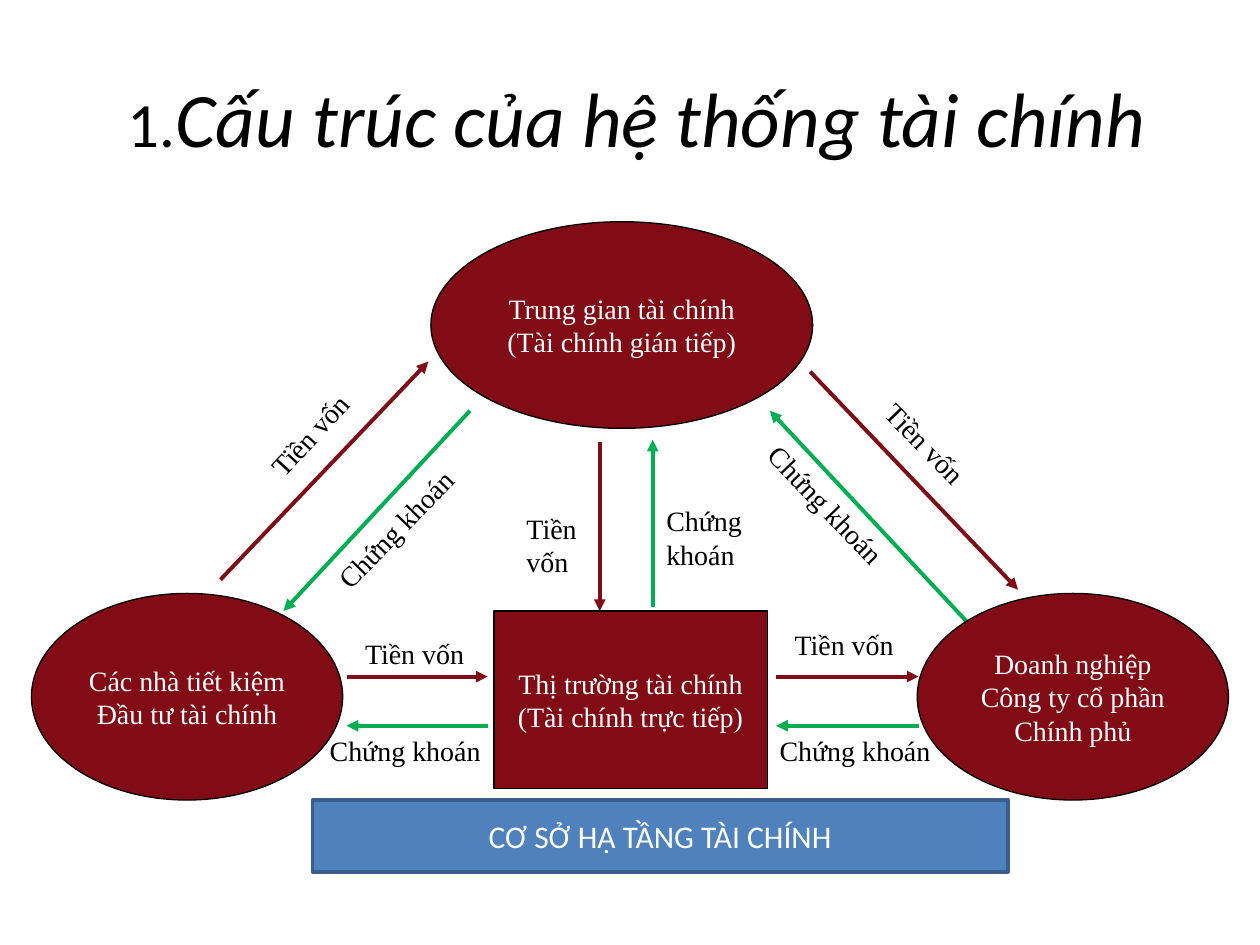
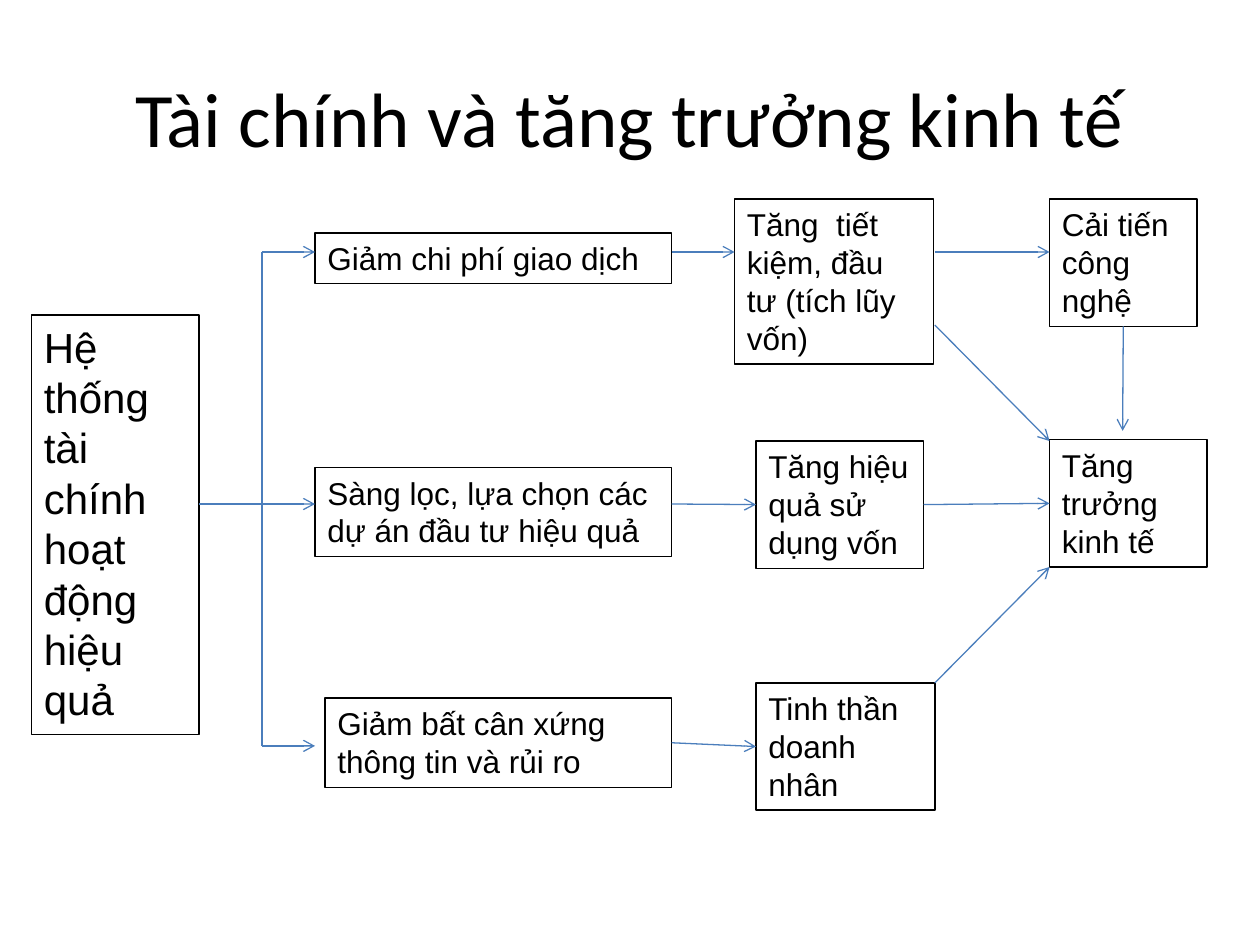
from typing import NamedTuple, Optional

from lxml import etree
from pptx import Presentation
from pptx import util as u
from pptx.dml import color
from pptx.enum import shapes, text
from pptx.oxml import ns

BLACK, WHITE = "000000", "FFFFFF"
MAROON, GREEN = "810C15", "00B050"
BLUE, BLUE_EDGE, BLUE_LINE = "4F81BD", "3A5F8C", "4B7EBC"
TITLE_FONT, FLOW_FONT, BOX_FONT = "Calibri", "Times New Roman", "Arial"
CENTER, LEFT = text.PP_ALIGN.CENTER, text.PP_ALIGN.LEFT
OVAL, RECTANGLE = shapes.MSO_SHAPE.OVAL, shapes.MSO_SHAPE.RECTANGLE
TOP_SIDE, LEFT_SIDE, BOTTOM_SIDE, RIGHT_SIDE = range(4)
CAPITAL, SECURITIES = "Tiền vốn", "Chứng khoán"


class Area(NamedTuple):
    left: float
    top: float
    width: float
    height: float


class Node(NamedTuple):
    area: Area
    words: str
    kind: shapes.MSO_SHAPE = OVAL
    fill: str = MAROON
    edge: str = BLACK
    edge_width: float = 0.75
    font: str = FLOW_FONT
    size: float = 16
    side_inset: float = 0


class Label(NamedTuple):
    area: Area
    words: str
    rotation: float = 0
    align: text.PP_ALIGN = LEFT


class Step(NamedTuple):
    name: str
    area: Area
    words: str
    size: float = 18


class Line(NamedTuple):
    start: tuple[float, float]
    end: tuple[float, float]
    color: str = BLUE_LINE
    width: float = 0.75
    head: Optional[str] = "arrow"


class Link(NamedTuple):
    """A line, with the (step name, side) that each end is joined to."""
    line: Line
    begin: Optional[tuple[str, int]] = None
    finish: Optional[tuple[str, int]] = None


def rgb(value: str) -> color.RGBColor:
    return color.RGBColor.from_string(value)


def place(area: Area) -> list[u.Length]:
    return [u.Inches(value) for value in area]


def style_text(frame, font: str, size: float, ink: str, align=CENTER) -> None:
    for para in frame.paragraphs:
        para.alignment = align
        for span in para.runs:
            span.font.name = font
            span.font.size = u.Pt(size)
            span.font.color.rgb = rgb(ink)


def add_title(page, words: str):
    box = page.shapes.add_textbox(*place(Area(0.5, 0.3, 9, 1.25)))
    frame = box.text_frame
    frame.word_wrap = True
    frame.vertical_anchor = text.MSO_ANCHOR.MIDDLE
    frame.text = words
    style_text(frame, TITLE_FONT, 44, BLACK)
    return frame.paragraphs[0]


def add_line(page, line: Line):
    connector = page.shapes.add_connector(
        shapes.MSO_CONNECTOR.STRAIGHT,
        *[u.Inches(value) for value in (*line.start, *line.end)])
    connector.line.color.rgb = rgb(line.color)
    connector.line.width = u.Pt(line.width)
    if line.head:
        outline = connector.line._get_or_add_ln()
        etree.SubElement(outline, ns.qn("a:tailEnd"), type=line.head)
    etree.SubElement(connector._element.spPr, ns.qn("a:effectLst"))
    return connector


def add_node(page, node: Node) -> None:
    shape = page.shapes.add_shape(node.kind, *place(node.area))
    shape.shadow.inherit = False
    shape.fill.solid()
    shape.fill.fore_color.rgb = rgb(node.fill)
    shape.line.color.rgb = rgb(node.edge)
    shape.line.width = u.Pt(node.edge_width)
    frame = shape.text_frame
    frame.word_wrap = True
    frame.margin_left = frame.margin_right = u.Inches(node.side_inset)
    frame.vertical_anchor = text.MSO_ANCHOR.MIDDLE
    frame.text = node.words
    style_text(frame, node.font, node.size, WHITE)


def add_label(page, label: Label) -> None:
    box = page.shapes.add_textbox(*place(label.area))
    box.rotation = label.rotation
    frame = box.text_frame
    frame.word_wrap = False
    frame.vertical_anchor = text.MSO_ANCHOR.MIDDLE
    frame.text = label.words
    style_text(frame, FLOW_FONT, 16, BLACK, label.align)


def add_step(page, step: Step):
    box = page.shapes.add_textbox(*place(step.area))
    box.line.color.rgb = rgb(BLACK)
    box.line.width = u.Pt(0.75)
    frame = box.text_frame
    frame.word_wrap = True
    frame.auto_size = text.MSO_AUTO_SIZE.SHAPE_TO_FIT_TEXT
    frame.text = step.words
    style_text(frame, BOX_FONT, step.size, BLACK, LEFT)
    return box


def flow(start: tuple[float, float], end: tuple[float, float], ink: str) -> Line:
    return Line(start, end, ink, 2.25, "triangle")


def build_structure(deck) -> None:
    page = deck.slides.add_slide(deck.slide_layouts[6])
    title = add_title(page, " 1.")
    title.runs[0].font.size = u.Pt(36)
    name = title.add_run()
    name.text = "Cấu trúc của hệ thống tài chính"
    name.font.name = TITLE_FONT
    name.font.size = u.Pt(44)
    name.font.italic = True
    name.font.color.rgb = rgb(BLACK)

    flows = [
        flow((1.75, 4.6), (3.4, 2.87), MAROON),
        flow((3.73, 3.26), (2.25, 4.85), GREEN),
        flow((6.43, 2.95), (8.08, 4.68), MAROON),
        flow((7.67, 4.93), (6.11, 3.26), GREEN),
        flow((4.76, 3.51), (4.76, 4.85), MAROON),
        flow((5.18, 4.82), (5.18, 3.49), GREEN),
    ]
    for left, right in ((2.75, 3.87), (6.16, 7.29)):
        flows.append(flow((left, 5.37), (right, 5.37), MAROON))
        flows.append(flow((right, 5.76), (left, 5.76), GREEN))
    nodes = [
        Node(Area(3.42, 1.76, 3.03, 1.64),
             "Trung gian tài chính\n(Tài chính gián tiếp)"),
        Node(Area(0.25, 4.71, 2.47, 1.64),
             "Các nhà tiết kiệm\nĐầu tư tài chính"),
        Node(Area(7.28, 4.71, 2.47, 1.64),
             "Doanh nghiệp Công ty cổ phần\nChính phủ"),
        Node(Area(3.92, 4.85, 2.17, 1.41),
             "Thị trường tài chính\n(Tài chính trực tiếp)", RECTANGLE),
        Node(Area(2.48, 6.35, 5.52, 0.57), "CƠ SỞ HẠ TẦNG TÀI CHÍNH",
             RECTANGLE, BLUE, BLUE_EDGE, 2, TITLE_FONT, 18, 0.1),
    ]
    labels = [
        Label(Area(1.89, 3.23, 1.13, 0.44), CAPITAL, 312.5, CENTER),
        Label(Area(2.41, 3.9, 1.59, 0.45), SECURITIES, 314.3),
        Label(Area(6.82, 3.37, 1.2, 0.45), CAPITAL, 45.5),
        Label(Area(5.83, 3.85, 1.59, 0.45), SECURITIES, 46.2),
        Label(Area(4.08, 4.01, 0.68, 0.63), "Tiền\nvốn"),
        Label(Area(5.19, 3.85, 0.9, 0.83), "Chứng\nkhoán"),
        Label(Area(2.75, 4.96, 1.08, 0.45), CAPITAL, align=CENTER),
        Label(Area(6.16, 4.89, 1.08, 0.45), CAPITAL, align=CENTER),
        Label(Area(2.42, 5.73, 1.59, 0.45), SECURITIES, align=CENTER),
        Label(Area(5.99, 5.73, 1.59, 0.45), SECURITIES, align=CENTER),
    ]
    for line in flows:
        add_line(page, line)
    for node in nodes:
        add_node(page, node)
    for label in labels:
        add_label(page, label)


def build_growth(deck) -> None:
    page = deck.slides.add_slide(deck.slide_layouts[6])
    add_title(page, "Tài chính và tăng trưởng kinh tế")

    steps = [
        Step("system", Area(0.25, 2.5, 1.33, 3.33),
             "Hệ thống tài chính hoạt động hiệu quả", 24),
        Step("costs", Area(2.5, 1.85, 2.83, 0.4), "Giảm chi phí giao dịch"),
        Step("screening", Area(2.5, 3.71, 2.83, 0.71),
             "Sàng lọc, lựa chọn các dự án đầu tư hiệu quả"),
        Step("risk", Area(2.58, 5.54, 2.75, 0.71),
             "Giảm bất cân xứng thông tin và rủi ro"),
        Step("savings", Area(5.83, 1.58, 1.58, 1.31),
             "Tăng  tiết kiệm, đầu tư (tích lũy vốn)"),
        Step("efficiency", Area(6, 3.5, 1.33, 1.01),
             "Tăng hiệu quả sử dụng vốn"),
        Step("spirit", Area(6, 5.42, 1.42, 1.01), "Tinh thần doanh nhân"),
        Step("technology", Area(8.33, 1.58, 1.17, 1.01), "Cải tiến công nghệ"),
        Step("growth", Area(8.33, 3.49, 1.25, 1.01), "Tăng trưởng kinh tế"),
    ]
    upper, middle, lower, trunk = 2, 4, 5.92, 2.08
    links = [
        Link(Line((1.58, middle), (2.5, middle))),
        Link(Line((trunk, upper), (trunk, lower), head=None)),
        Link(Line((trunk, upper), (2.5, upper))),
        Link(Line((trunk, lower), (2.5, lower))),
        Link(Line((5.33, upper), (5.83, upper))),
        Link(Line((5.33, middle), (6, middle)),
             finish=("efficiency", LEFT_SIDE)),
        Link(Line((5.33, lower), (6, lower)),
             ("risk", RIGHT_SIDE), ("spirit", LEFT_SIDE)),
        Link(Line((7.42, upper), (8.33, upper))),
        Link(Line((7.33, middle), (8.33, middle)),
             ("efficiency", RIGHT_SIDE), ("growth", LEFT_SIDE)),
        Link(Line((7.42, 2.58), (8.33, 3.5))),
        Link(Line((7.42, 5.42), (8.33, 4.5))),
        Link(Line((8.92, 2.59), (8.91, 3.42)), ("technology", BOTTOM_SIDE)),
    ]
    boxes = {step.name: add_step(page, step) for step in steps}
    for link in links:
        connector = add_line(page, link.line)
        if link.begin:
            name, side = link.begin
            connector.begin_connect(boxes[name], side)
        if link.finish:
            name, side = link.finish
            connector.end_connect(boxes[name], side)


def main() -> None:
    deck = Presentation()
    deck.slide_width, deck.slide_height = u.Inches(10), u.Inches(7.5)
    build_structure(deck)
    build_growth(deck)
    deck.save("out.pptx")


if __name__ == "__main__":
    main()
